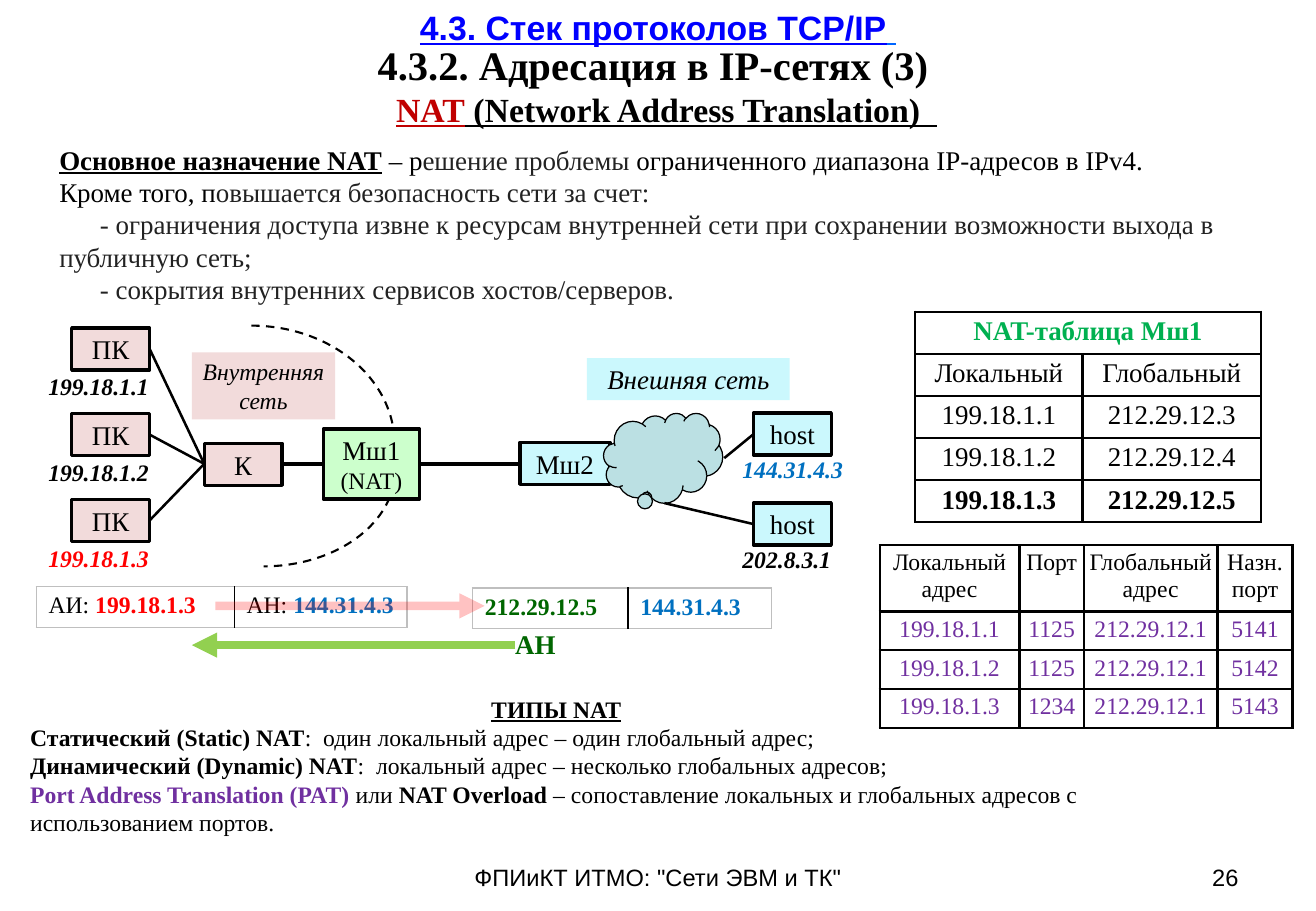
from lxml.etree import SubElement
from pptx import Presentation
from pptx.dml.color import RGBColor
from pptx.enum.dml import MSO_LINE
from pptx.enum.shapes import MSO_CONNECTOR, MSO_SHAPE
from pptx.enum.text import MSO_ANCHOR, PP_ALIGN
from pptx.oxml import parse_xml
from pptx.oxml.ns import nsdecls, qn
from pptx.util import Cm, Pt

COLORS = {
    "black": "000000", "text": "222222", "gray": "BFBFBF", "blue": "0070C0",
    "link": "0000FF", "link_end": "0066FF", "red": "FF0000", "dark_red": "C00000",
    "green": "00B050", "dark_green": "006600", "purple": "7030A0", "arrow": "92D050",
    "inner": "F2DBDB", "outer": "CBF8FD", "gateway": "CCFFCC", "cloud": "BBE0E3",
}
SERIF = "Times New Roman"
CENTER, RIGHT = PP_ALIGN.CENTER, PP_ALIGN.RIGHT
TIGHT = 0.1
NODE_HEIGHT = 0.88
NODE_WIDTH = 1.63


def rgb(name):
    """Return the named palette colour."""
    return RGBColor.from_string(COLORS[name])


def set_font(font, size=None, color=None, name=None, **flags):
    """Set the given font properties; flags are bold, italic, underline."""
    if size:
        font.size = Pt(size)
    if color:
        font.color.rgb = rgb(color)
    if name:
        font.name = name
    for flag, value in flags.items():
        setattr(font, flag, value)


def fill_text(frame, paragraphs, size=16, color="black", name=SERIF, align=None,
              spacing=None, **flags):
    """Write paragraphs, each a string or a list of (text, font differences)."""
    for index, content in enumerate(paragraphs):
        paragraph = frame.paragraphs[0] if index == 0 else frame.add_paragraph()
        paragraph.alignment = align
        paragraph.line_spacing = spacing
        set_font(paragraph.font, size, color, name, **flags)
        runs = [(content, {})] if isinstance(content, str) else content
        for text, differences in runs:
            run = paragraph.add_run()
            run.text = text
            set_font(run.font, **differences)


def set_frame(frame, inset=None, anchor=MSO_ANCHOR.TOP):
    """Turn wrapping on and set the insets and the anchor."""
    frame.word_wrap = True
    frame.vertical_anchor = anchor
    if inset is not None:
        frame.margin_left = frame.margin_right = Cm(inset)
        frame.margin_top = frame.margin_bottom = Cm(inset)


def add_text(slide, box, paragraphs, inset=None, anchor=MSO_ANCHOR.TOP, **style):
    """Add a text box and return its text frame."""
    frame = slide.shapes.add_textbox(*map(Cm, box)).text_frame
    set_frame(frame, inset, anchor)
    fill_text(frame, paragraphs, **style)
    return frame


def add_shape(slide, kind, box, fill=None, width=None):
    """Add a preset shape with an optional fill and black outline."""
    shape = slide.shapes.add_shape(kind, *map(Cm, box))
    shape.shadow.inherit = False
    if fill:
        shape.fill.solid()
        shape.fill.fore_color.rgb = rgb(fill)
    else:
        shape.fill.background()
    if width:
        shape.line.color.rgb = rgb("black")
        shape.line.width = Pt(width)
    else:
        shape.line.fill.background()
    return shape


def add_node(slide, box, paragraphs, fill, width=2, anchor=MSO_ANCHOR.MIDDLE, **style):
    """Add a captioned rectangle of the network diagram."""
    shape = add_shape(slide, MSO_SHAPE.RECTANGLE, box, fill, width)
    set_frame(shape.text_frame, TIGHT, anchor)
    fill_text(shape.text_frame, paragraphs, align=CENTER, **style)


def add_arc(slide, box, rotation=0):
    """Add a dashed quarter arc of the inner network border."""
    arc = add_shape(slide, MSO_SHAPE.ARC, box, width=1.25)
    arc.line.dash_style = MSO_LINE.DASH
    arc.rotation = rotation


def add_line(slide, start, end, width=1.5, color="black", arrow_end=None, alpha=None):
    """Add a straight line with an optional arrowhead and opacity in percent."""
    line = slide.shapes.add_connector(MSO_CONNECTOR.STRAIGHT, *map(Cm, start + end))
    line.line.color.rgb = rgb(color)
    line.line.width = Pt(width)
    properties = line._element.spPr
    outline = properties.find(qn("a:ln"))
    if alpha:
        SubElement(outline.find(".//" + qn("a:srgbClr")), qn("a:alpha"), val=str(alpha * 1000))
    if arrow_end:
        SubElement(outline, qn("a:" + arrow_end), type="triangle")
    SubElement(properties, qn("a:effectLst"))


def set_borders(cell, width, colors):
    """Draw the left, right, top and bottom borders of a cell."""
    properties = cell._tc.get_or_add_tcPr()
    for index, (side, color) in enumerate(zip("LRTB", colors)):
        properties.insert(index, parse_xml(
            f'<a:ln{side} {nsdecls("a")} w="{Pt(width)}"><a:solidFill>'
            f'<a:srgbClr val="{COLORS[color]}"/></a:solidFill></a:ln{side}>'))


def add_table(slide, left, top, widths, heights, rows, row_styles, border=1.5,
              frame="black", inset=TIGHT, **style):
    """Add a bordered table; row_styles holds the font changes of each row."""
    table = slide.shapes.add_table(len(rows), len(widths), Cm(left), Cm(top),
                                   Cm(sum(widths)), Cm(sum(heights))).table
    table.first_row = table.horz_banding = False
    for column, width in zip(table.columns, widths):
        column.width = Cm(width)
    last = len(widths) - 1
    for r, (height, row) in enumerate(zip(heights, rows)):
        table.rows[r].height = Cm(height)
        for c, content in enumerate(row):
            cell = table.cell(r, c)
            cell.fill.background()
            if inset:
                cell.margin_left = cell.margin_right = Cm(inset)
                cell.margin_top = cell.margin_bottom = Cm(inset)
            set_borders(cell, border, (frame if c == 0 else "black",
                                       frame if c == last else "black", frame, frame))
            if content:
                fill_text(cell.text_frame, [content], **{**style, **row_styles[r]})
    return table


def add_headings(slide):
    """Add the titles, the introduction, the NAT types and the footer."""
    bold = {"bold": True}
    add_text(slide, (1.37, 0.03, 24.77, 2.06), [
        [("4.3. Стек протоколов TCP/IP", {}), (" ", {"color": "link_end"})],
        [("4.3.2. Адресация в IP-сетях (3) ",
          {"size": 24, "name": SERIF, "color": "black", "underline": False})],
    ], anchor=MSO_ANCHOR.MIDDLE, size=20, name="Arial", color="link", align=CENTER,
        spacing=0.85, bold=True, underline=True)
    add_text(slide, (3.12, 1.85, 21.64, 0.99), [
        [("NAT", {"color": "dark_red"}), ("\u00a0(Network Address Translation) ", {}),
         ("\u00a0", {"bold": False})],
    ], anchor=MSO_ANCHOR.MIDDLE, size=20, align=CENTER, spacing=0.85, bold=True, underline=True)
    gray = {"color": "text"}
    intro = add_text(slide, (0.99, 2.87, 25.7, 3.68), [
        [("Основное назначение NAT", {"bold": True, "underline": True}), (" – р", {}),
         ("ешение проблемы\u00a0", gray), ("ограниченного диапазона IP-адресов в IPv4.", {})],
        [("Кроме того, п", {}), ("овышается безопасность сети за счет:", gray)],
        [("- ограничения доступа извне к ресурсам внутренней сети при сохранении "
          "возможности выхода в публичную сеть;", gray)],
        [("- сокрытия внутренних сервисов хостов/серверов.", gray)],
    ])
    for paragraph in intro.paragraphs[2:]:
        paragraph._p.get_or_add_pPr().set("indent", str(Cm(0.85)))
    types = add_text(slide, (0.38, 14.4, 22.5, 3.25), [
        [("ТИПЫ NAT", {"bold": True, "underline": True})],
        [("Статический (Static) NAT", bold), (":  один локальный адрес – один глобальный адрес;", {})],
        [("Динамический (Dynamic) NAT", bold),
         (":  локальный адрес – несколько глобальных адресов;", {})],
        [("Port Address Translation (PAT) ", {"bold": True, "color": "purple"}), ("или ", {}),
         ("NAT Overload ", bold),
         ("– сопоставление локальных и глобальных адресов c использованием портов.", {})],
    ], size=14)
    types.paragraphs[0].alignment = CENTER
    footer = {"size": 14, "name": "Arial"}
    add_text(slide, (9.4, 17.91, 8.71, 0.76), ['ФПИиКТ ИТМО: "Сети ЭВМ и ТК"'], align=CENTER, **footer)
    add_text(slide, (19.71, 17.91, 6.43, 0.76), ["26"], align=RIGHT, **footer)


def add_network(slide):
    """Add the diagram of the inner and outer networks."""
    address = {"size": 14, "bold": True, "italic": True}
    axis = 9.7
    add_line(slide, (8.76, axis), (10.87, axis), 2)
    add_line(slide, (5.89, axis), (6.76, axis), 2)
    add_arc(slide, (2.26, 6.81, 5.99, 4.95))
    add_arc(slide, (3.48, 7.06, 4.06, 5.51), 90)
    caption = {"width": None, "anchor": MSO_ANCHOR.TOP, "italic": True}
    add_node(slide, (12.27, 7.49, 4.24, 0.88), ["Внешняя сеть"], "outer", **caption)
    add_node(slide, (4.01, 7.37, 3, 1.4), ["Внутренняя сеть"], "inner", size=14, **caption)
    for index, color in enumerate(("black", "black", "red")):
        top = 6.86 + 1.79 * index
        add_node(slide, (1.5, top, NODE_WIDTH, NODE_HEIGHT), ["ПК"], "inner")
        add_text(slide, (0.76, top + 0.8, 3, 0.86), [f"199.18.1.{index + 1}"], color=color, **address)
        add_line(slide, (3.13, top + NODE_HEIGHT / 2), (4.27, axis))
    add_node(slide, (4.27, 9.27, NODE_WIDTH, NODE_HEIGHT), ["К"], "inner")
    add_node(slide, (6.76, 8.97, 2.01, 1.47), ["Мш1", [("(NAT)", {"size": 14})]], "gateway")
    add_node(slide, (10.87, 9.25, 1.88, NODE_HEIGHT), ["Мш2"], "outer")
    cloud = add_shape(slide, MSO_SHAPE.CLOUD_CALLOUT, (12.62, 8.64, 2.49, 1.88), "cloud", 0.75)
    cloud.adjustments[0], cloud.adjustments[1] = -0.14, 0.44
    for top, text, color, start in ((8.64, "144.31.4.3", "blue", (15.14, 9.58)),
                                    (10.52, "202.8.3.1", "black", (13.89, 10.52))):
        add_node(slide, (15.75, top, NODE_WIDTH, NODE_HEIGHT), ["host"], "outer")
        add_text(slide, (15.27, top + 0.75, 3, 0.86), [text], color=color, **address)
        add_line(slide, start, (15.75, top + NODE_HEIGHT / 2))


def add_packets(slide):
    """Add the packet addresses before and after translation, with arrows."""
    red, blue = ({"color": color, "bold": True} for color in ("red", "blue"))
    packet = {"border": 1, "frame": "gray", "inset": None, "size": 14}
    add_table(slide, 0.76, 12.27, (4.14, 3.61), (0.84,), [
        [[("АИ: ", {}), ("199.18.1.3", red)], [("АН: ", {}), ("144.31.4.3", blue)]]], [{}], **packet)
    add_table(slide, 9.88, 12.3, (3.25, 3), (0.84,), [
        [[("212.29.12.5", {"color": "dark_green"})], [("144.31.4.3", blue)]]],
        [{"bold": True}], **packet)
    add_line(slide, (10.77, 13.49), (4.01, 13.49), 5, "arrow", "tailEnd")
    add_text(slide, (10.77, 13.13, 0.95, 0.69), ["АН"], inset=0, color="dark_green", bold=True)
    add_line(slide, (4.5, 12.67), (10.13, 12.67), 5, "red", "tailEnd", alpha=24)


def add_nat_tables(slide):
    """Add the address table and the port table."""
    bold = {"bold": True}
    table = add_table(slide, 19.13, 6.52, (3.5, 3.73), (0.88,) * 5, [
        ["NAT-таблица Мш1", None], ["Локальный", "Глобальный"],
        *([f"199.18.1.{n}", f"212.29.12.{n + 2}"] for n in (1, 2, 3)),
    ], [{"color": "green", **bold}, {}, {}, {}, bold], align=CENTER)
    table.cell(0, 0).merge(table.cell(0, 1))
    ports = ((1125, 5141), (1125, 5142), (1234, 5143))
    add_table(slide, 18.39, 11.4, (2.92, 1.35, 2.79, 1.57), (1.38,) + (0.81,) * 3, [
        ["Локальный адрес", "Порт", "Глобальный адрес", "Назн. порт"],
        *([f"199.18.1.{n}", str(local), "212.29.12.1", str(remote)]
          for n, (local, remote) in enumerate(ports, 1)),
    ], [{}] + [{"color": "purple"}] * 3, size=14, align=CENTER)


def main():
    """Build the slide and save it."""
    presentation = Presentation()
    presentation.slide_width, presentation.slide_height = Cm(27.51), Cm(19.05)
    slide = presentation.slides.add_slide(presentation.slide_layouts[6])
    add_headings(slide)
    add_network(slide)
    add_packets(slide)
    add_nat_tables(slide)
    presentation.save("out.pptx")


main()
